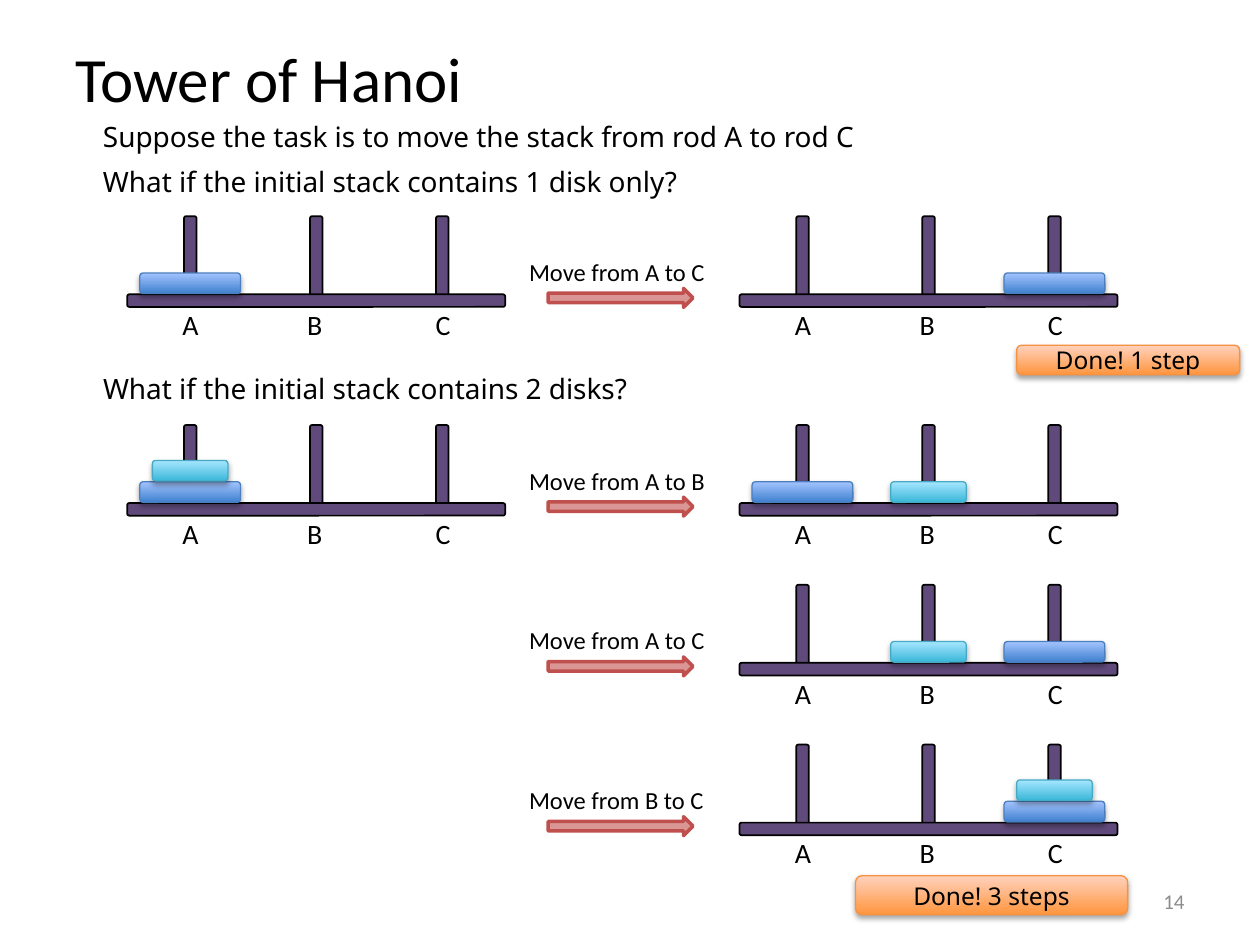
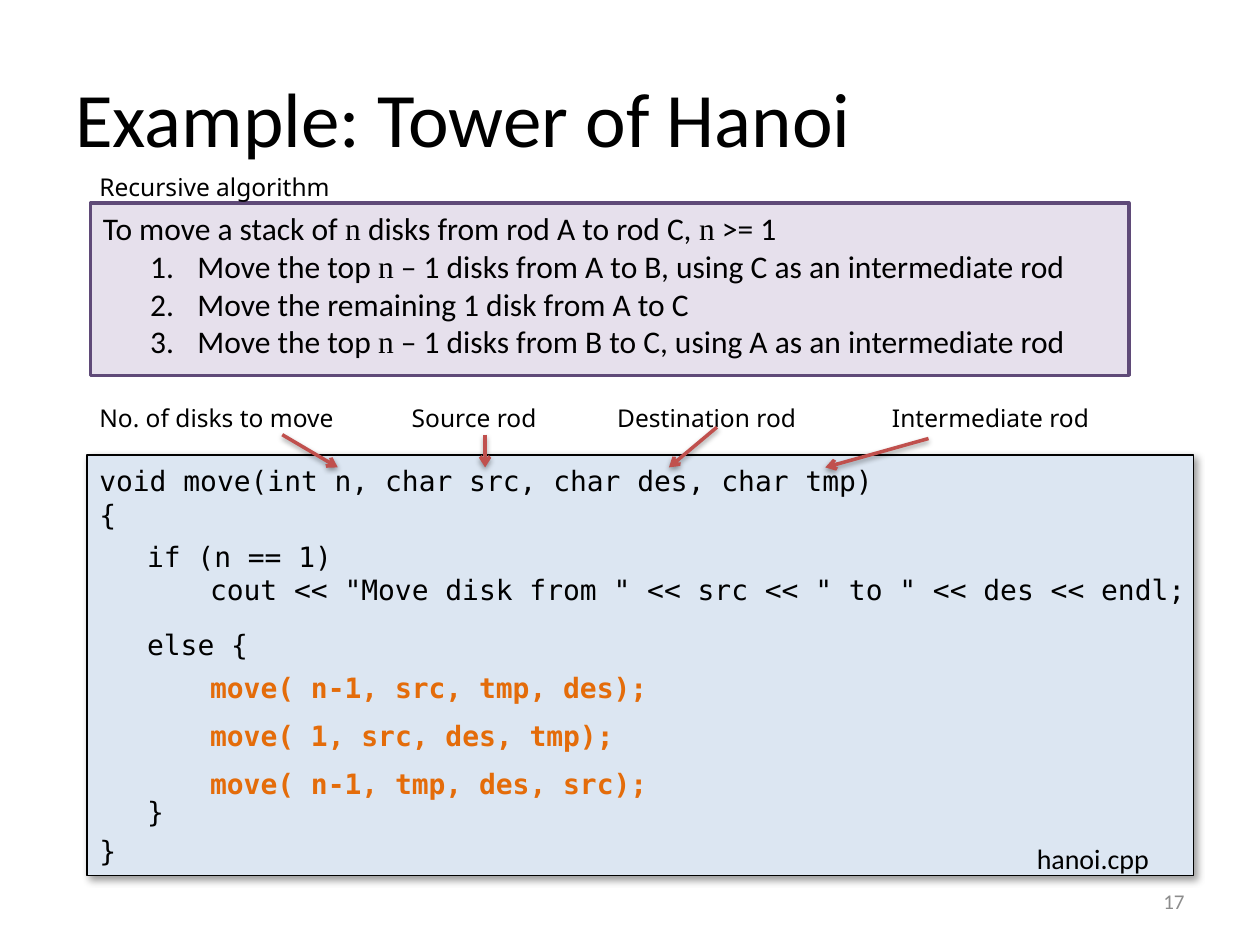
from dataclasses import dataclass

import lxml.etree
import pptx
import pptx.dml.color
import pptx.enum.shapes
import pptx.enum.text
import pptx.oxml.ns
import pptx.util

Pt = pptx.util.Pt
RGB = pptx.dml.color.RGBColor.from_string
qn = pptx.oxml.ns.qn
SHAPE = pptx.enum.shapes.MSO_SHAPE
ANCHOR = pptx.enum.text.MSO_ANCHOR
ALIGN = pptx.enum.text.PP_ALIGN
FIT = pptx.enum.text.MSO_AUTO_SIZE


@dataclass(frozen=True)
class Type:
    """Face, size, colour and weight of one kind of text."""
    face: str
    size: float
    color: str = "000000"
    bold: bool = False


class Theme:
    """Colours and type sizes of the deck."""
    title = Type("Calibri", 44)
    small_title = Type("Calibri", 36)
    number = Type("Calibri", 12, "8C8C8C")
    prompt = Type("Noto Sans", 16)
    note = Type("Noto Sans", 14)
    label = Type("Calibri", 16)
    move = Type("Calibri", 14)
    steps = Type("Calibri", 18)
    code = Type("DejaVu Sans Mono", 16)
    call = Type("DejaVu Sans Mono", 16, "E46C0A", True)
    math_face = "Times New Roman"
    white = "FFFFFF"
    panel, panel_line = "E6E0EC", "5F4A78"
    code_fill, code_line = "DCE6F2", "000000"
    rod, rod_line = "604A7B", "000000"
    arrow, arrow_line = "D99694", "C0504D"
    # gradient from bottom to top, then outline
    big_disk = ("3F80CE", "A4C4FF"), "4B7EBC"
    small_disk = ("39B7D8", "A7E6FF"), "46AAC5"
    badge = ("FF953E", "FFD2BD"), "F69240"
    # opacity %, blur, distance, direction
    soft_shadow = 35, 3.1, 1.8, 90
    line_shadow = 38, 3.1, 1.6, 90
    code_shadow = 40, 4, 3, 45


def add_xml(parent, tag, **attrs):
    """Append a child element with the given attributes."""
    child = lxml.etree.SubElement(parent, qn(tag))
    for name, value in attrs.items():
        child.set(name, str(value))
    return child


def set_shadow(sp, shadow=None):
    """Replace the theme shadow by the given one, or by none."""
    effects = add_xml(sp._element.spPr, "a:effectLst")
    if shadow:
        opacity, blur, dist, angle = shadow
        outer = add_xml(effects, "a:outerShdw", blurRad=int(Pt(blur)), dist=int(Pt(dist)),
                        dir=angle * 60000, rotWithShape=0)
        color = add_xml(outer, "a:srgbClr", val="000000")
        add_xml(color, "a:alpha", val=opacity * 1000)


def indent(p, left, first=0):
    """Set the left margin and first-line indent; return the properties."""
    pPr = p._p.get_or_add_pPr()
    pPr.set("marL", str(int(Pt(left))))
    pPr.set("indent", str(int(Pt(first))))
    return pPr


def number(p):
    """Give a paragraph an automatic number and a hanging indent."""
    pPr = indent(p, 54, -27)
    bullet = lxml.etree.Element(qn("a:buAutoNum"), type="arabicPeriod")
    pPr.insert(0, bullet)


class Deck:
    """The style, the presentation and the slide being built."""

    def __init__(self, theme):
        self.theme = theme
        self.prs = pptx.Presentation()
        self.prs.slide_width, self.prs.slide_height = Pt(720), Pt(540)

    def slide(self, title, kind, height, page):
        """Start a slide with its title and page number."""
        self.s = self.prs.slides.add_slide(self.prs.slide_layouts[6])
        self.shapes = self.s.shapes
        self.text((36, 21.6, 648, height), [title], kind, wrap=True, anchor=ANCHOR.MIDDLE)
        self.text((516, 500.5, 168, 28.8), [page], self.theme.number, wrap=True,
                  anchor=ANCHOR.MIDDLE, align=ALIGN.RIGHT)

    def group(self):
        """Put the next elements into a new group."""
        self.shapes = self.s.shapes.add_group_shape().shapes

    def ungroup(self):
        """Put the next elements straight on the slide."""
        self.shapes = self.s.shapes

    def fill_text(self, sp, lines, kind, anchor=ANCHOR.TOP, align=ALIGN.LEFT, wrap=True):
        """Set one paragraph a line; parts between backticks are maths."""
        tf = sp.text_frame
        tf.word_wrap, tf.vertical_anchor = wrap, anchor
        for i, line in enumerate(lines):
            p = tf.add_paragraph() if i else tf.paragraphs[0]
            p.alignment = align
            p.font.name, p.font.size, p.font.bold = kind.face, Pt(kind.size), kind.bold
            p.font.color.rgb = RGB(kind.color)
            for j, part in enumerate(line.split("`")):
                r = p.add_run()
                r.text = part
                if j % 2:
                    r.font.name = self.theme.math_face
        return tf.paragraphs

    def text(self, box, lines, kind, fill=None, wrap=False, **layout):
        """Add a text box that grows with its text unless it wraps."""
        sp = self.shapes.add_textbox(*map(Pt, box))
        if fill:
            sp.fill.solid()
            sp.fill.fore_color.rgb = RGB(fill)
        ps = self.fill_text(sp, lines, kind, wrap=wrap, **layout)
        sp.text_frame.auto_size = FIT.NONE if wrap else FIT.SHAPE_TO_FIT_TEXT
        return ps

    def shape(self, preset, box, fill, line=None, width=1, shadow=None):
        """Add a preset shape; a pair of colours makes a gradient."""
        sp = self.shapes.add_shape(preset, *map(Pt, box))
        if isinstance(fill, tuple):
            sp.fill.gradient()
            sp.fill.gradient_angle = 90
            for stop, color in zip(sp.fill.gradient_stops, fill):
                stop.color.rgb = RGB(color)
        else:
            sp.fill.solid()
            sp.fill.fore_color.rgb = RGB(fill)
        if line:
            sp.line.color.rgb, sp.line.width = RGB(line), Pt(width)
        else:
            sp.line.fill.background()
        set_shadow(sp, shadow)
        return sp

    def glossy(self, box, colors):
        """Add a rounded gradient bar with a soft shadow."""
        return self.shape(SHAPE.ROUNDED_RECTANGLE, box, *colors, 0.75, self.theme.soft_shadow)

    def badge(self, box, words):
        """Add an orange result badge."""
        self.fill_text(self.glossy(box, self.theme.badge), [words], self.theme.note,
                       ANCHOR.MIDDLE, ALIGN.CENTER)

    def pointer(self, x1, y1, x2, y2):
        """Add a thin arrow that points at a parameter."""
        cx = self.shapes.add_connector(pptx.enum.shapes.MSO_CONNECTOR.STRAIGHT,
                                       *map(Pt, (x1, y1, x2, y2)))
        cx.line.color.rgb, cx.line.width = RGB(self.theme.arrow_line), Pt(2)
        add_xml(cx.line._get_or_add_ln(), "a:tailEnd", type="arrow")
        set_shadow(cx, self.theme.line_shadow)

    def rods(self, x, y, big, small=None, small_level=0):
        """Draw three rods on a base at x, y, with disks on the given rods."""
        t = self.theme
        for i in range(3):
            sp = self.shape(SHAPE.ROUNDED_RECTANGLE, (x + 10.8 + 72 * i, y - 23, 50.4, 7.2),
                            t.rod, t.rod_line)
            sp.rotation = 90
        self.shape(SHAPE.ROUNDED_RECTANGLE, (x, y, 216, 7.2), t.rod, t.rod_line)
        for name, dx in zip("ABC", (24.5, 95.8, 169.2)):
            self.text((x + dx, y + 4, 23.8, 26.6), [name], t.label)
        self.disk(x, y, big, 0, 57.6, t.big_disk)
        if small is not None:
            self.disk(x, y, small, small_level, 43.2, t.small_disk)

    def disk(self, x, y, rod, level, width, colors):
        """Put a disk on a rod, at a level counted from the base."""
        center = x + 36 + 72 * rod
        self.glossy((center - width / 2, y - 12.2 * (level + 1), width, 11.8), colors)

    def move(self, y, words):
        """Draw a block arrow with the move named above it."""
        self.shape(SHAPE.RIGHT_ARROW, (313.2, y - 3.4, 82.8, 10.8),
                   self.theme.arrow, self.theme.arrow_line, 2)
        self.text((295.2, y - 25, 115.9, 24.2), [words], self.theme.move)


def tower_slide(d):
    """Build the slide that solves one and two disks."""
    t = d.theme
    d.slide("Tower of Hanoi", t.small_title, 45.4, "14")
    d.badge((581, 197.3, 127.4, 16.8), "Done! 1 step")
    prompts = (("Suppose the task is to move the stack from rod A to rod C", 64.8, 496.8),
               ("What if the initial stack contains 1 disk only?", 90.7, 388.8),
               ("What if the initial stack contains 2 disks?", 208.8, 354.2))
    for words, y, width in prompts:
        d.text((51.8, y, width, 26.6), [words], t.prompt, t.white)

    left, right, one_disk, two_disks, gap = 72.7, 422.6, 168.2, 287.5, 91.3
    starts = ((one_disk, None, 0), (two_disks, 0, 1))
    for y, small, level in starts:
        d.group()
        d.rods(left, y, 0, small, level)
    moves = ((one_disk, "A to C", 2, None, 0),
             (two_disks, "A to B", 0, 1, 0),
             (two_disks + gap, "A to C", 2, 1, 0),
             (two_disks + 2 * gap, "B to C", 2, 2, 1))
    for y, rods, big, small, level in moves:
        d.group()
        d.move(y, f"Move from {rods}")
        d.rods(right, y, big, small, level)
    d.ungroup()
    d.badge((488.9, 500.4, 155.5, 22.3), "Done! 3 steps")


def code_slide(d):
    """Build the slide with the recursive algorithm and its code."""
    t = d.theme
    d.slide("Example: Tower of Hanoi", t.title, 90, "17")
    sp = d.shape(SHAPE.RECTANGLE, (51.8, 115.9, 593.3, 98.6), t.panel, t.panel_line, 2)
    steps = d.fill_text(sp, [
        "To move a stack of `n` disks from rod A to rod C, `n` >= 1",
        "Move the top `n` – 1 disks from A to B, using C as an intermediate rod",
        "Move the remaining 1 disk from A to C",
        "Move the top `n` – 1 disks from B to C, using A as an intermediate rod"], t.steps)
    for p in steps[1:]:
        number(p)
    d.text((49.7, 95, 155.5, 24.2), ["Recursive algorithm"], t.note)

    sp = d.shape(SHAPE.RECTANGLE, (49.7, 260, 632.2, 240.5), t.code_fill, t.code_line,
                 0.75, t.code_shadow)
    lines = d.fill_text(sp, ["void move(int n, char src, char des, char tmp)", "{", "}"],
                        t.code, ANCHOR.MIDDLE)
    lines[-1].space_before = Pt(173)
    lines = d.text((77, 304.6, 621.4, 46.1), [
        "if (n == 1)",
        'cout << "Move disk from " << src << " to " << des << endl;'], t.code, wrap=True)
    indent(lines[1], 36)
    lines = d.text((77, 355, 72.7, 143.3), ["else {", "}"], t.code)
    lines[1].space_before = Pt(76)
    for i, args in enumerate(("n-1, src, tmp, des", "1, src, des, tmp", "n-1, tmp, des, src")):
        sp = d.shape(SHAPE.RECTANGLE, (113, 380.2 + 27.4 * i, 452.9, 25.2), t.code_fill)
        d.fill_text(sp, [f"move( {args});"], t.call, ANCHOR.MIDDLE)
    d.text((585.4, 477.4, 79.2, 26.6), ["hanoi.cpp"], t.label)

    parameters = (("No. of disks to move", 49.7, 159.1, (161.3, 248.4, 193)),
                  ("Source rod", 228.2, 92.2, (277.2, 248.4, 277.2)),
                  ("Destination rod", 345.6, 126, (409.7, 244.1, 382.3)),
                  ("Intermediate rod", 502.6, 137.5, (530.6, 250.6, 471.6)))
    for words, x, width, tip in parameters:
        d.text((x, 226.8, width, 24.2), [words], t.note)
        d.pointer(*tip, 267.1)


deck = Deck(Theme())
tower_slide(deck)
code_slide(deck)
deck.prs.save("out.pptx")
